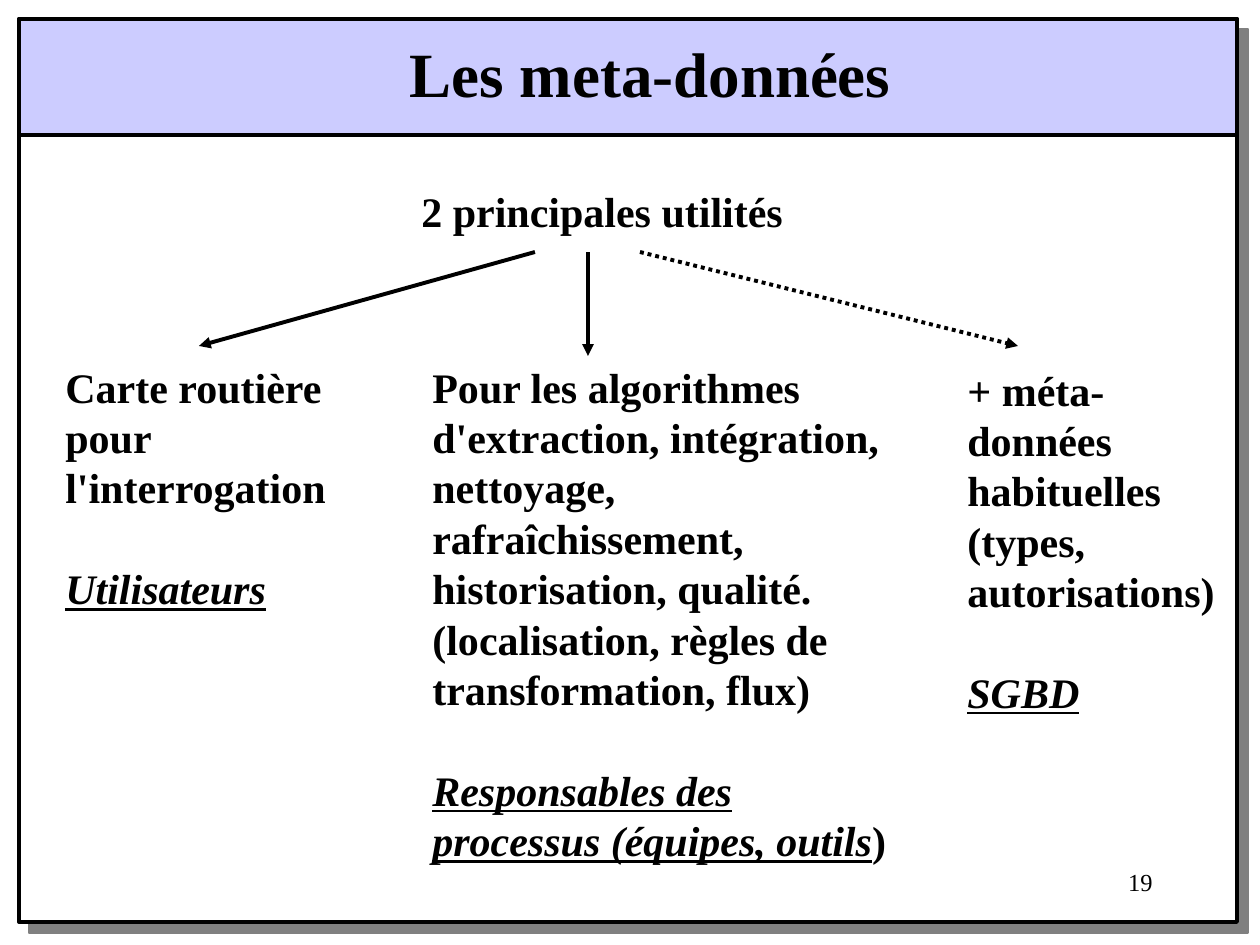
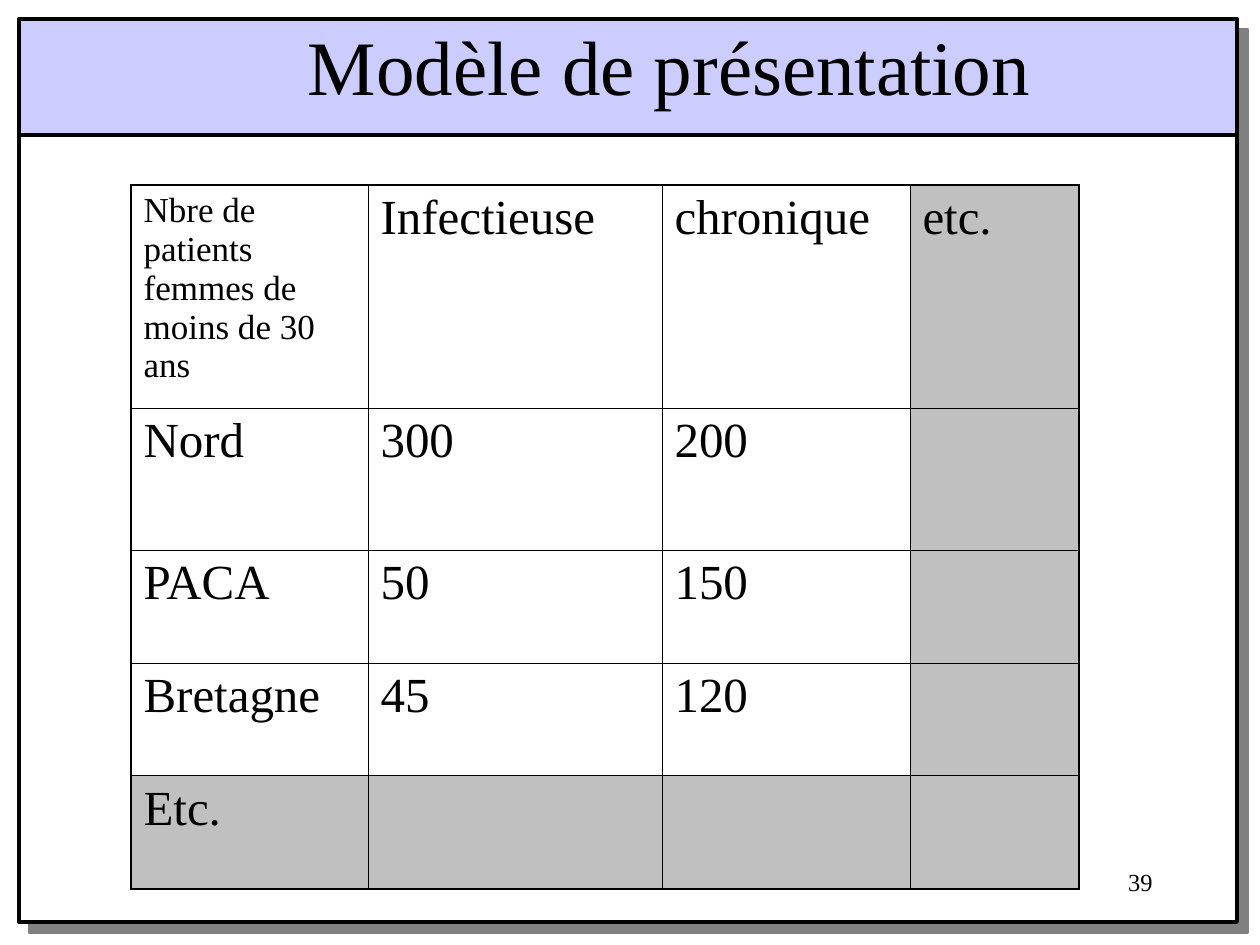
from dataclasses import dataclass

from lxml import etree
from pptx import Presentation
from pptx.dml.color import RGBColor
from pptx.enum.dml import MSO_LINE
from pptx.enum.shapes import MSO_CONNECTOR, MSO_SHAPE
from pptx.enum.text import MSO_ANCHOR, MSO_AUTO_SIZE, PP_ALIGN
from pptx.oxml import parse_xml
from pptx.oxml.ns import nsdecls, qn
from pptx.util import Emu, Pt

RECT = MSO_SHAPE.RECTANGLE
STRAIGHT = MSO_CONNECTOR.STRAIGHT
DOTS = MSO_LINE.ROUND_DOT
LEFT, CENTER, RIGHT = PP_ALIGN.LEFT, PP_ALIGN.CENTER, PP_ALIGN.RIGHT
TOP, MIDDLE = MSO_ANCHOR.TOP, MSO_ANCHOR.MIDDLE
NO_FIT = MSO_AUTO_SIZE.NONE
TITLE_ONLY = 5


@dataclass(frozen=True)
class Theme:
    font: str = "Times New Roman"
    ink: str = "000000"
    paper: str = "FFFFFF"
    band: str = "CCCCFF"
    shade: str = "808080"
    grey: str = "C0C0C0"
    title: int = 36
    big: int = 44
    body: int = 24
    cell: int = 28
    head: int = 20
    page: int = 14
    leading: float = 1.2
    rule: float = 2.25
    edge: float = 1.08
    grid: float = 0.45


THEME = Theme()

USES = [
    ((53, 355, 315, 265), ["Carte routière pour l'interrogation"], "Utilisateurs", ""),
    ((420, 355, 494, 517),
     ["Pour les algorithmes d'extraction, intégration, nettoyage, "
      "rafraîchissement, historisation, qualité.",
      "(localisation, règles de transformation, flux)"],
     "Responsables des processus (équipes, outils", ")"),
    ((955, 358, 275, 365), ["+ méta-données habituelles (types, autorisations)"], "SGBD", ""),
]
ARROWS = [
    ((588, 252), (588, 356), None),
    ((535, 252), (199, 346), None),
    ((640, 252), (1018, 346), DOTS),
]
PATIENTS = [
    ["Nbre de patients femmes de moins de 30 ans", "Infectieuse", "chronique", "etc."],
    ["Nord", "300", "200", ""],
    ["PACA", "50", "150", ""],
    ["Bretagne", "45", "120", ""],
    ["Etc.", "", "", ""],
]
COLS = [237, 294, 248, 169]
ROWS = [223, 142, 113, 113, 113]


def px(count):
    return Emu(round(count * 914400 / 126))


def color(name):
    return RGBColor.from_string(name)


def style(para, size, bold=False, align=LEFT):
    para.alignment = align
    font = para.font
    font.name, font.size, font.bold = THEME.font, Pt(size), bold
    font.color.rgb = color(THEME.ink)


def lead(para, size):
    para.line_spacing = Pt(size * THEME.leading)
    para.space_before = Pt(0)


def ink_line(shape):
    shape.line.color.rgb = color(THEME.ink)
    shape.line.width = Pt(THEME.rule)


def add_rect(slide, box, fill):
    rect = slide.shapes.add_shape(RECT, *map(px, box))
    rect.shadow.inherit = False
    rect.fill.solid()
    rect.fill.fore_color.rgb = color(fill)
    ink_line(rect)
    return rect


def add_line(slide, start, end):
    line = slide.shapes.add_connector(STRAIGHT, *map(px, start + end))
    ink_line(line)
    etree.SubElement(line._element.spPr, qn("a:effectLst"))
    return line


def add_arrow(slide, start, end, dash):
    line = add_line(slide, start, end).line
    if dash:
        line.dash_style = dash
    etree.SubElement(line._get_or_add_ln(), qn("a:tailEnd"), type="triangle")


def add_text(slide, box, text, size, bold=False, align=LEFT, wrap=True):
    frame = slide.shapes.add_textbox(*map(px, box)).text_frame
    frame.word_wrap = wrap
    para = frame.paragraphs[0]
    para.text = text
    lead(para, size)
    style(para, size, bold, align)
    return frame


def set_title(slide, box, text, size, bold=False, align=LEFT, anchor=TOP, wrap=True):
    title = slide.shapes.title
    title.left, title.top, title.width, title.height = map(px, box)
    frame = title.text_frame
    frame.text = text
    frame.auto_size, frame.word_wrap = NO_FIT, wrap
    frame.vertical_anchor = anchor
    lead(frame.paragraphs[0], size)
    style(frame.paragraphs[0], size, bold, align)


def add_use(slide, box, texts, users, tail):
    """Write what the data serve for, then who uses them, underlined."""
    frame = add_text(slide, box, texts[0], THEME.body, True)
    for text in texts[1:] + [""]:
        para = frame.add_paragraph()
        para.text = text
        lead(para, THEME.body)
        style(para, THEME.body, True)
    para.space_before = Pt(THEME.body * THEME.leading)
    run = para.add_run()
    run.text = users
    run.font.italic = run.font.underline = True
    if tail:
        para.add_run().text = tail


def add_border(cell, side, width):
    cell._tc.get_or_add_tcPr().append(parse_xml(
        f'<a:ln{side} {nsdecls("a")} w="{Pt(width)}"><a:solidFill>'
        f'<a:srgbClr val="{THEME.ink}"/></a:solidFill></a:ln{side}>'))


def fill_cell(cell, text, size, outer, grey):
    for side, edge in outer.items():
        add_border(cell, side, THEME.edge if edge else THEME.grid)
    if grey:
        cell.fill.solid()
        cell.fill.fore_color.rgb = color(THEME.grey)
    else:
        cell.fill.background()
    cell.text = text
    style(cell.text_frame.paragraphs[0], size)


def add_table(slide, left, top, data):
    """Draw the grid with a heavy rim and a grey last row and column."""
    last_row, last_col = len(ROWS) - 1, len(COLS) - 1
    box = (left, top, sum(COLS), sum(ROWS))
    table = slide.shapes.add_table(len(ROWS), len(COLS), *map(px, box)).table
    table.first_row = table.horz_banding = False
    for col, width in zip(table.columns, COLS):
        col.width = px(width)
    for row, height in zip(table.rows, ROWS):
        row.height = px(height)
    for r, texts in enumerate(data):
        for c, text in enumerate(texts):
            outer = {"L": c == 0, "R": c == last_col, "T": r == 0, "B": r == last_row}
            size = THEME.head if r == c == 0 else THEME.cell
            fill_cell(table.cell(r, c), text, size, outer, r == last_row or c == last_col)


def add_frame(slide):
    """Draw the shared frame and move it to the layout, behind all slides."""
    panel = add_rect(slide, (19, 19, 1218, 903), THEME.paper)
    effects = panel._element.spPr.find(qn("a:effectLst"))
    shadow = etree.SubElement(effects, qn("a:outerShdw"), blurRad="0", dist=str(Pt(8.5)),
                              dir="2700000", algn="ctr", rotWithShape="0")
    etree.SubElement(shadow, qn("a:srgbClr"), val=THEME.shade)
    rule = add_line(slide, (20, 135), (1235, 135))
    band = add_rect(slide, (19, 19, 1218, 116), THEME.band)
    tree = slide.slide_layout.shapes._spTree
    for number, part in enumerate((panel, rule, band), 100):
        part._element.xpath(".//p:cNvPr")[0].set("id", str(number))
        tree.append(part._element)


def add_page(slide, number):
    add_text(slide, (903, 861, 262, 63), number, THEME.page, align=RIGHT)


def main():
    deck = Presentation()
    deck.slide_width, deck.slide_height = px(1260), px(945)
    layout = deck.slide_layouts[TITLE_ONLY]

    uses = deck.slides.add_slide(layout)
    add_frame(uses)
    add_page(uses, "19")
    set_title(uses, (397, 28, 507, 88), "Les meta-données", THEME.title, True, wrap=False)
    add_text(uses, (409, 179, 387, 63), "2 principales utilités", THEME.body, True, wrap=False)
    for use in USES:
        add_use(uses, *use)
    for arrow in ARROWS:
        add_arrow(uses, *arrow)

    model = deck.slides.add_slide(layout)
    add_page(model, "39")
    set_title(model, (134, -14, 1071, 158), "Modèle de présentation", THEME.big,
              align=CENTER, anchor=MIDDLE)
    add_table(model, 131, 185, PATIENTS)
    deck.save("out.pptx")


if __name__ == "__main__":
    main()
